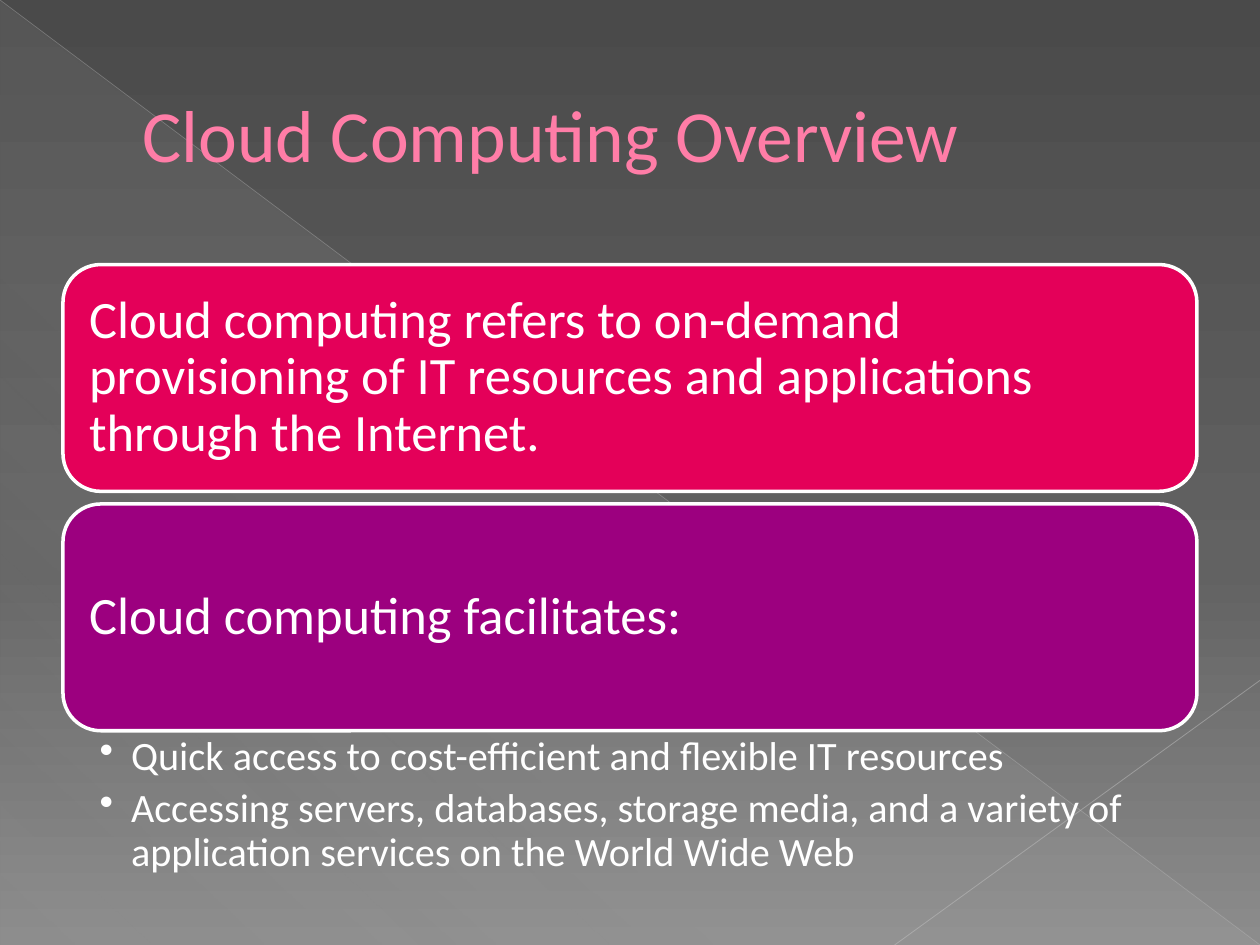
from lxml import etree
from pptx import Presentation
from pptx.dml.color import RGBColor
from pptx.enum.shapes import MSO_CONNECTOR, MSO_SHAPE
from pptx.enum.text import MSO_ANCHOR, PP_ALIGN
from pptx.oxml.ns import qn
from pptx.util import Inches, Pt

STRAIGHT = MSO_CONNECTOR.STRAIGHT
TRIANGLE, ROUNDED = MSO_SHAPE.RIGHT_TRIANGLE, MSO_SHAPE.ROUNDED_RECTANGLE
LEFT, MIDDLE, TOP = PP_ALIGN.LEFT, MSO_ANCHOR.MIDDLE, MSO_ANCHOR.TOP

WIDTH, HEIGHT = 10, 7.5
MARGIN = 0.05 * WIDTH
CONTENT_W = WIDTH - 2 * MARGIN
CARD_TOP, CARD_H, CARD_GAP = 2.1, 1.8, 0.1
FONT = "Calibri"
COLORS = {
    "title": "FF7DA7", "text": "FFFFFF", "pink": "E40059", "purple": "9C007F",
    "dark": "4A4A4A", "mid": "626262", "light": "8C8C8C",
    "sheen": "D2D2D2", "diagonal": "BFBFBF", "corner": "C6C6C6",
}
CARDS = [
    ("pink", "Cloud computing refers to on-demand provisioning of IT resources "
             "and applications through the Internet."),
    ("purple", "Cloud computing facilitates:"),
]
BENEFITS = [
    "Quick access to cost-efficient and flexible IT resources",
    "Accessing servers, databases, storage media, and a variety of "
    "application services on the World Wide Web",
]


def rgb(name):
    """Return the named colour."""
    return RGBColor.from_string(COLORS[name])


def add_alpha(color, percent):
    """Give a colour element an opacity."""
    etree.SubElement(color, qn("a:alpha"), val=str(percent * 1000))


def set_gradient(fill, element, angle, stops):
    """Fill with a linear gradient of (position, colour, opacity) stops."""
    fill.gradient()
    grad = next(element.iter(qn("a:gradFill")))
    grad.find(qn("a:lin")).set("ang", str(angle * 60000))
    stop_list = grad.find(qn("a:gsLst"))
    for old in list(stop_list):
        stop_list.remove(old)
    for position, name, opacity in stops:
        stop = etree.SubElement(stop_list, qn("a:gs"), pos=str(position * 1000))
        color = etree.SubElement(stop, qn("a:srgbClr"), val=COLORS[name])
        add_alpha(color, opacity)


def add_hairline(s, start, end, name, width, opacity):
    """Draw a translucent thin line."""
    line = s.shapes.add_connector(STRAIGHT, *map(Inches, start + end))
    line.line.color.rgb = rgb(name)
    line.line.width = Pt(width)
    sp_pr = line.element.spPr
    add_alpha(next(sp_pr.iter(qn("a:srgbClr"))), opacity)
    etree.SubElement(sp_pr, qn("a:effectLst"))


def add_backdrop(s, w, h):
    """Draw the gradient background, the sheen and the diagonals."""
    set_gradient(s.background.fill, s.element, 90,
                 [(0, "dark", 100), (60, "mid", 100), (100, "light", 100)])
    sp = s.shapes.add_shape(TRIANGLE, 0, 0, Inches(w), Inches(h))
    sp.shadow.inherit = False
    sp.line.fill.background()
    set_gradient(sp.fill, sp.element, 133,
                 [(0, "sheen", 10), (70, "sheen", 8), (100, "sheen", 1)])
    add_hairline(s, (0, 0), (w, h), "diagonal", 0.39, 35)
    add_hairline(s, (w, 0.72 * h), (0.71 * w, h), "corner", 0.47, 45)


def set_frame(sp, anchor, left, top, right, bottom):
    """Prepare a wrapping text frame with insets in inches."""
    tf = sp.text_frame
    tf.word_wrap = True
    tf.vertical_anchor = anchor
    tf.margin_left, tf.margin_top = Inches(left), Inches(top)
    tf.margin_right, tf.margin_bottom = Inches(right), Inches(bottom)
    return tf


def style_paragraph(p, text, size, color="text", spacing=0.9):
    """Write a left-aligned paragraph in the slide's font."""
    p.text = text
    p.alignment = LEFT
    p.line_spacing = spacing
    p.font.name = FONT
    p.font.size = Pt(size)
    p.font.color.rgb = rgb(color)


def add_title(s, box, text):
    """Place the slide title in the box."""
    sp = s.shapes.add_textbox(*map(Inches, box))
    tf = set_frame(sp, MIDDLE, 0.63, 0.05, 0.1, 0.05)
    style_paragraph(tf.paragraphs[0], text, 42, "title", 1.0)


def add_card(s, box, color, text):
    """Place a rounded card with its statement in the box."""
    sp = s.shapes.add_shape(ROUNDED, *map(Inches, box))
    sp.shadow.inherit = False
    sp.fill.solid()
    sp.fill.fore_color.rgb = rgb(color)
    sp.line.color.rgb = rgb("text")
    sp.line.width = Pt(2)
    tf = set_frame(sp, MIDDLE, 0.12, 0.12, 0.12, 0.12)
    style_paragraph(tf.paragraphs[0], text, 30)


def add_bullets(s, box, items):
    """Place a bulleted list in the box."""
    sp = s.shapes.add_textbox(*map(Inches, box))
    tf = set_frame(sp, TOP, 0.29, 0.04, 0.23, 0.04)
    for i, item in enumerate(items):
        p = tf.add_paragraph() if i else tf.paragraphs[0]
        p_pr = p._p.get_or_add_pPr()
        p_pr.set("marL", str(Inches(0.25)))
        p_pr.set("indent", str(-Inches(0.25)))
        etree.SubElement(p_pr, qn("a:buChar"), char="•")
        style_paragraph(p, item, 23)
        p.space_after = Pt(5)


def main():
    """Build and save the slide."""
    prs = Presentation()
    prs.slide_width, prs.slide_height = Inches(WIDTH), Inches(HEIGHT)
    s = prs.slides.add_slide(prs.slide_layouts[6])
    add_backdrop(s, WIDTH, HEIGHT)
    add_title(s, (MARGIN, 0.29, CONTENT_W, 1.53), "Cloud Computing Overview")
    for i, (color, text) in enumerate(CARDS):
        top = CARD_TOP + i * (CARD_H + CARD_GAP)
        add_card(s, (MARGIN, top, CONTENT_W, CARD_H), color, text)
    add_bullets(s, (MARGIN, top + CARD_H, CONTENT_W, 1.22), BENEFITS)
    prs.save("out.pptx")


if __name__ == "__main__":
    main()
